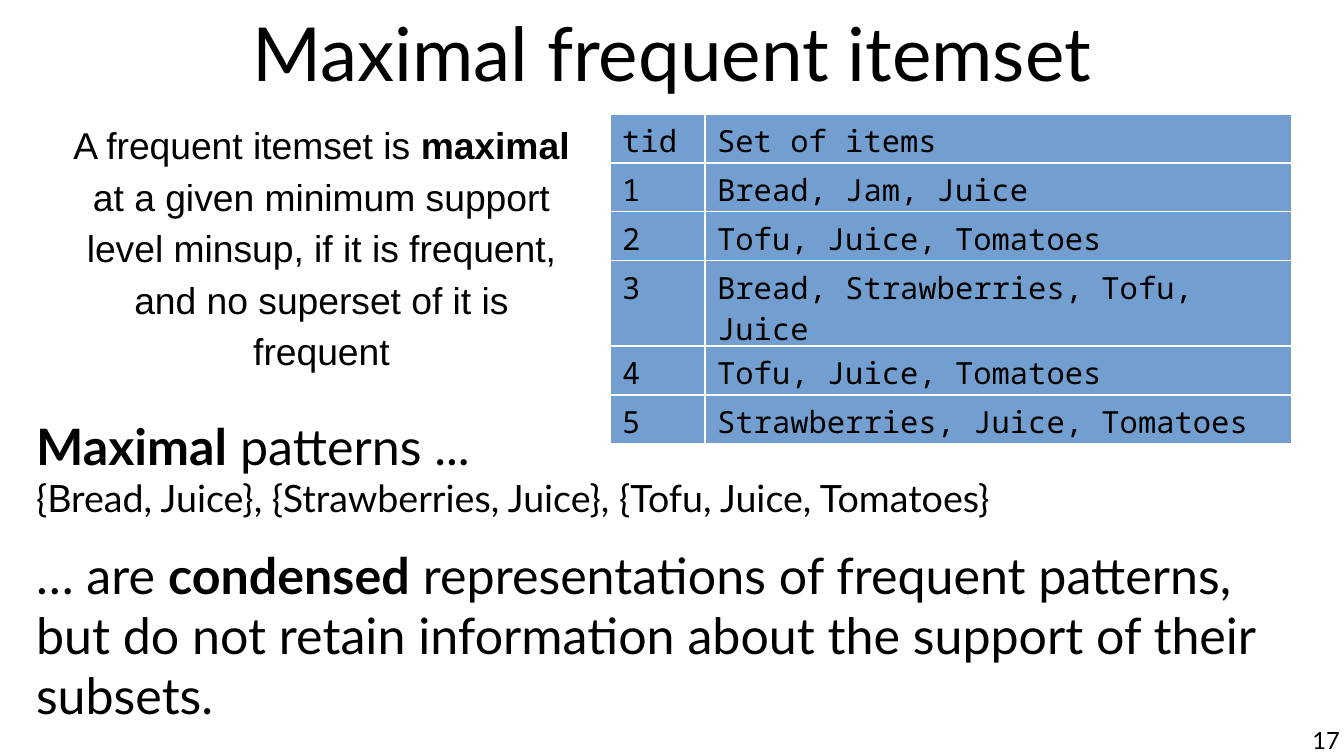
from pptx import Presentation
from pptx.dml.color import RGBColor
from pptx.enum.text import MSO_ANCHOR, PP_ALIGN
from pptx.util import Emu, Pt

# Content: each paragraph is a list of (text, size, bold); None breaks the line
TITLE = [[("Maximal frequent itemset", 44, False)]]
DEFINITION = [[
    ("A frequent itemset is ", 22, False),
    ("maximal", 22, True),
    (" at a given minimum support level minsup, if it is frequent, "
     "and no superset of it is frequent", 22, False),
]]
PATTERNS = [
    [
        ("Maximal", 29.6, True),
        (" patterns ...", 29.6, False),
        None,
        ("{Bread, Juice}, {Strawberries, Juice}, {Tofu, Juice, Tomatoes}", 22.2, False),
    ],
    [
        ("… are ", 29.6, False),
        ("condensed", 29.6, True),
        (" representations of frequent patterns, but do not retain "
         "information about the support of their subsets.", 29.6, False),
    ],
]
PAGE_NUMBER = [[("17", 14, False)]]
TRANSACTIONS = [
    ("tid", "Set of items"),
    ("1", "Bread, Jam, Juice"),
    ("2", "Tofu, Juice, Tomatoes"),
    ("3", "Bread, Strawberries, Tofu, Juice"),
    ("4", "Tofu, Juice, Tomatoes"),
    ("5", "Strawberries, Juice, Tomatoes"),
]

# Style and layout, lengths in px
COLORS = {"text": "000000", "cell": "729FCF", "background": "FFFFFF"}
SLIDE_SIZE = (1344, 756)
COLUMN_WIDTHS = (95, 587)
ROW_HEIGHT, TALL_ROW_HEIGHT, TALL_ROW = 48, 83, 3


def px(length):
    return Emu(round(length * 914400 / 122))


def color(name):
    return RGBColor.from_string(COLORS[name])


def style_run(run, font, size, bold=False):
    run.font.name = font
    run.font.size = Pt(size)
    run.font.bold = bold
    run.font.color.rgb = color("text")


def add_text(slide, box, paragraphs, font="Lato", align=PP_ALIGN.LEFT,
             anchor=MSO_ANCHOR.TOP, insets=(0, 0), line_spacing=None, gap=0):
    frame = slide.shapes.add_textbox(*map(px, box)).text_frame
    frame.word_wrap = True
    frame.vertical_anchor = anchor
    frame.margin_left = frame.margin_right = px(insets[0])
    frame.margin_top = frame.margin_bottom = px(insets[1])
    for index, pieces in enumerate(paragraphs):
        paragraph = frame.add_paragraph() if index else frame.paragraphs[0]
        paragraph.alignment = align
        paragraph.line_spacing = line_spacing
        if index:
            paragraph.space_before = Pt(gap)
        for piece in pieces:
            if piece is None:
                paragraph.add_line_break()
                continue
            text, size, bold = piece
            run = paragraph.add_run()
            run.text = text
            style_run(run, font, size, bold)


def add_transactions(slide, left, top):
    heights = [TALL_ROW_HEIGHT if index == TALL_ROW else ROW_HEIGHT
               for index in range(len(TRANSACTIONS))]
    box = (left, top, sum(COLUMN_WIDTHS), sum(heights))
    table = slide.shapes.add_table(
        len(TRANSACTIONS), len(COLUMN_WIDTHS), *map(px, box)).table
    table.first_row = table.horz_banding = False
    for column, width in zip(table.columns, COLUMN_WIDTHS):
        column.width = px(width)
    for row, height, texts in zip(table.rows, heights, TRANSACTIONS):
        row.height = px(height)
        for cell, text in zip(row.cells, texts):
            cell.fill.solid()
            cell.fill.fore_color.rgb = color("cell")
            cell.text_frame.text = text
            style_run(cell.text_frame.paragraphs[0].runs[0], "Noto Sans Mono", 18)


def main():
    presentation = Presentation()
    presentation.slide_width, presentation.slide_height = map(px, SLIDE_SIZE)
    slide = presentation.slides.add_slide(presentation.slide_layouts[6])
    slide.background.fill.solid()
    slide.background.fill.fore_color.rgb = color("background")

    # Title
    add_text(slide, (67, 1, 1210, 101), TITLE,
             align=PP_ALIGN.CENTER, anchor=MSO_ANCHOR.MIDDLE)

    # Transactions and definition
    add_transactions(slide, 610, 114)
    add_text(slide, (50, 110, 543, 274), DEFINITION, font="Arial",
             align=PP_ALIGN.CENTER, insets=(12, 6), line_spacing=1.15)

    # Maximal patterns and page number
    add_text(slide, (36, 415, 1273, 292), PATTERNS, gap=14.2)
    add_text(slide, (1027, 726, 313, 30), PAGE_NUMBER, align=PP_ALIGN.RIGHT)

    presentation.save("out.pptx")


if __name__ == "__main__":
    main()
